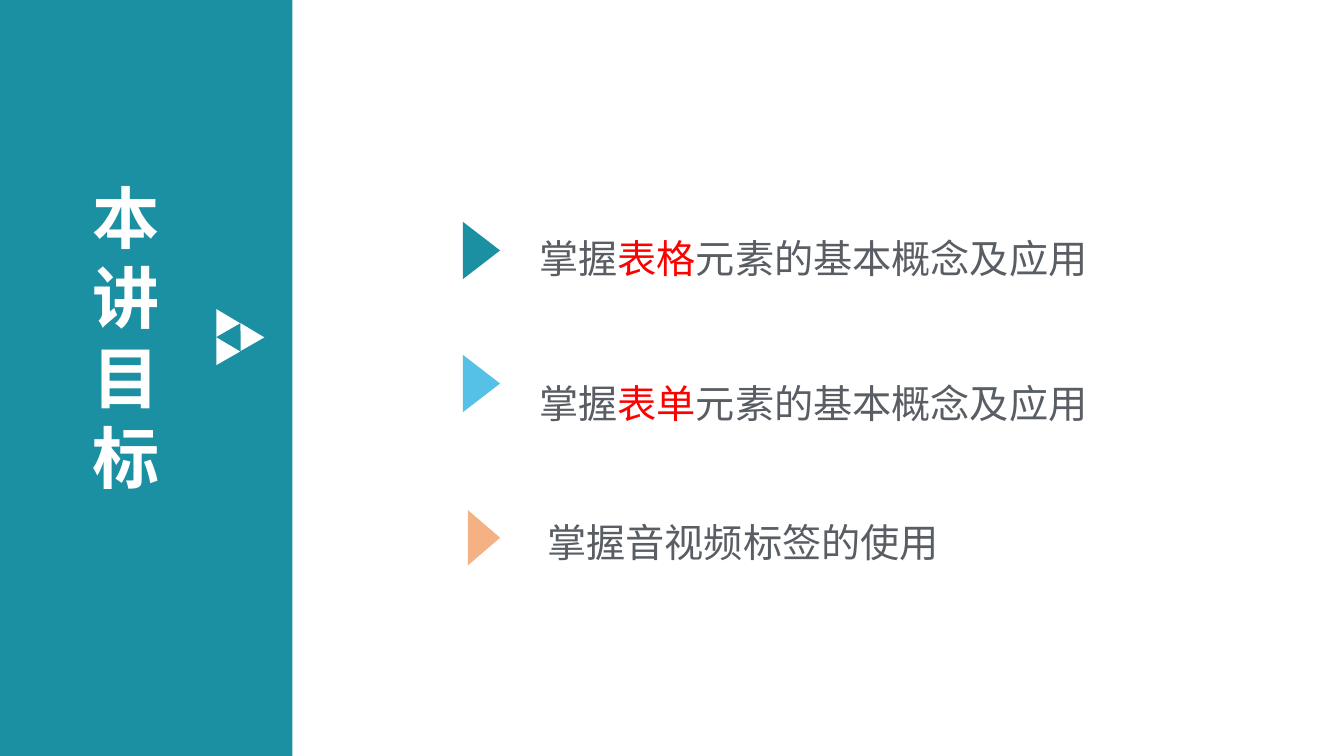
"""Build a slide that lists the goals of a lecture."""
from pptx import Presentation
from pptx.dml.color import RGBColor
from pptx.enum.shapes import MSO_SHAPE
from pptx.enum.text import MSO_ANCHOR, MSO_AUTO_SIZE, PP_ALIGN
from pptx.oxml.ns import qn
from pptx.util import Inches, Pt

RECTANGLE, TRIANGLE = MSO_SHAPE.RECTANGLE, MSO_SHAPE.ISOSCELES_TRIANGLE
TOP, NO_FIT, LEFT = MSO_ANCHOR.TOP, MSO_AUTO_SIZE.NONE, PP_ALIGN.LEFT

FONT = "Noto Sans CJK SC"
TEAL, SKY, PEACH = "1B90A2", "55C1E7", "F4B183"
WHITE, GRAY, RED = "FFFFFF", "595E64", "FF0000"
LINE_HEIGHT = 1.19

TOPIC = "元素的基本概念及应用"
GOALS = [
    (TEAL, (4.59, 2.2, 0.37, 0.57), (5.25, 2.01, 5.72, 0.81), 1.5,
     [("掌握", GRAY), ("表格", RED), (TOPIC, GRAY)]),
    (SKY, (4.59, 3.52, 0.37, 0.57), (5.25, 3.44, 5.72, 0.81), 1.5,
     [("掌握", GRAY), ("表单", RED), (TOPIC, GRAY)]),
    (PEACH, (4.64, 5.06, 0.32, 0.55), (5.33, 5.05, 5.3, 0.57), 1,
     [("掌握音视频标签的使用", GRAY)]),
]


def color(value):
    """Return the colour for a hex string."""
    return RGBColor.from_string(value)


def add_filled(slide, kind, box, fill, rotation=0):
    """Add a plain shape without outline or shadow."""
    sp = slide.shapes.add_shape(kind, *map(Inches, box))
    sp.shadow.inherit = False
    sp.fill.solid()
    sp.fill.fore_color.rgb = color(fill)
    sp.line.fill.background()
    sp.rotation = rotation
    return sp


def write(sp, runs, size, spacing=1, bold=False):
    """Fill a text shape with one paragraph of coloured runs."""
    tf = sp.text_frame
    tf.word_wrap = True
    tf.auto_size = NO_FIT
    tf.vertical_anchor = TOP
    tf.margin_left = tf.margin_right = Inches(0.1)
    tf.margin_top = Inches(0.05 + 0.0015 * size)
    tf.margin_bottom = Inches(0.05)
    p = tf.paragraphs[0]
    p.alignment = LEFT
    p.line_spacing = Pt(size * LINE_HEIGHT * spacing)
    p.space_before = Pt(0)
    for text, tint in runs:
        r = p.add_run()
        r.text = text
        r.font.size = Pt(size)
        r.font.bold = bold
        r.font.name = FONT
        r.font.color.rgb = color(tint)
        ea = r.font._element.makeelement(qn("a:ea"), {"typeface": FONT})
        r.font._element.find(qn("a:latin")).addnext(ea)


def add_arrow_icon(slide, left, top):
    """Add three small triangles that together point right."""
    width, height = 0.27, 0.24
    for dx, dy in ((0, 0), (0, 0.28), (height, 0.14)):
        add_filled(slide, TRIANGLE, (left + dx, top + dy, width, height), WHITE, 330.2)


def add_title_panel(slide, left, top, width, height):
    """Add the side panel with the title stacked one character a line."""
    panel = add_filled(slide, RECTANGLE, (left, top, width, height), TEAL)
    title = slide.shapes.title
    title.left, title.top = Inches(left + 0.88), Inches(top + 1.69)
    title.width, title.height = Inches(1.31), Inches(3.33)
    write(title, [("本讲目标", WHITE)], 48, bold=True)
    title._element.addprevious(panel._element)
    add_arrow_icon(slide, left + 2.13, top + 3.11)


def add_goal(slide, fill, marker_box, text_box, spacing, runs):
    """Add one goal with a marker that points right at its text."""
    left, top, width, height = marker_box
    unturned = (left + (width - height) / 2, top + (height - width) / 2, height, width)
    add_filled(slide, TRIANGLE, unturned, fill, 90)
    write(slide.shapes.add_textbox(*map(Inches, text_box)), runs, 28, spacing)


def main():
    """Build and save the presentation."""
    prs = Presentation()
    prs.slide_width, prs.slide_height = Inches(13.33), Inches(7.5)
    slide = prs.slides.add_slide(prs.slide_layouts[5])
    add_title_panel(slide, -0.06, -0.06, 2.96, 7.56)
    for goal in GOALS:
        add_goal(slide, *goal)
    prs.save("out.pptx")


if __name__ == "__main__":
    main()
